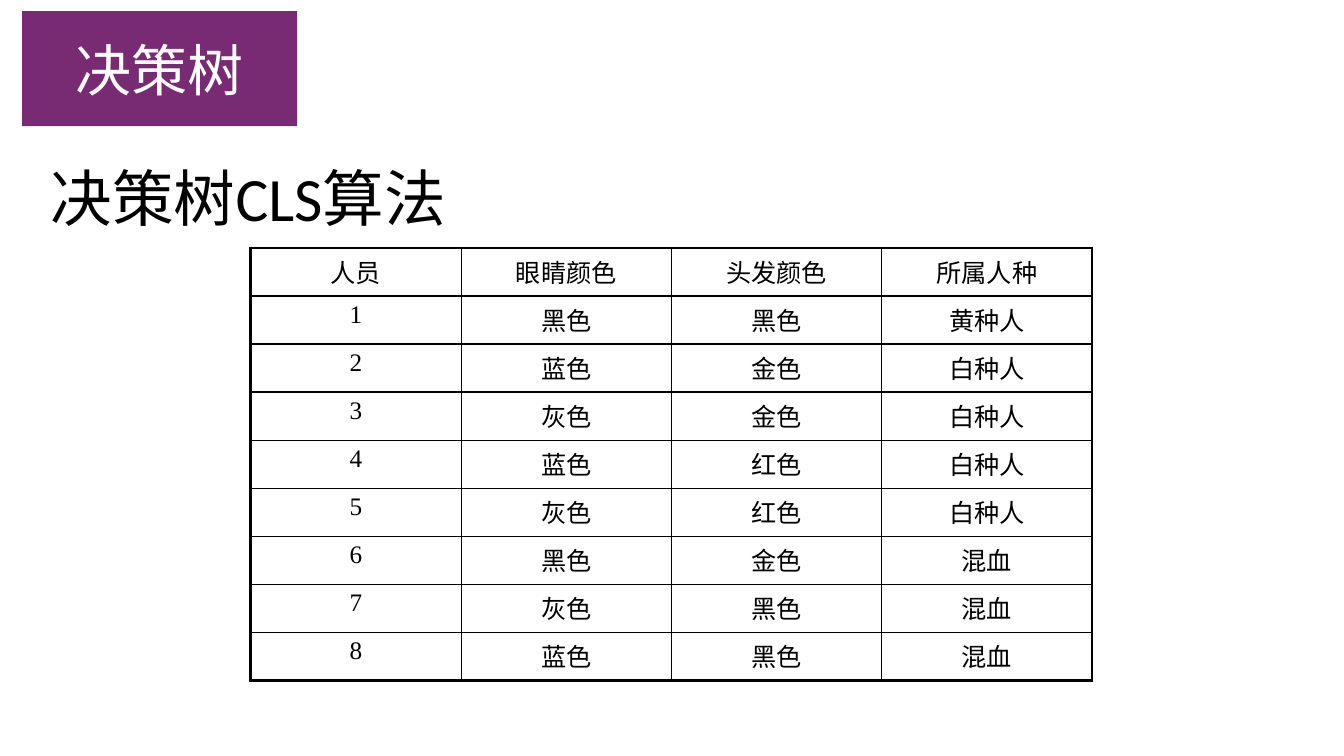
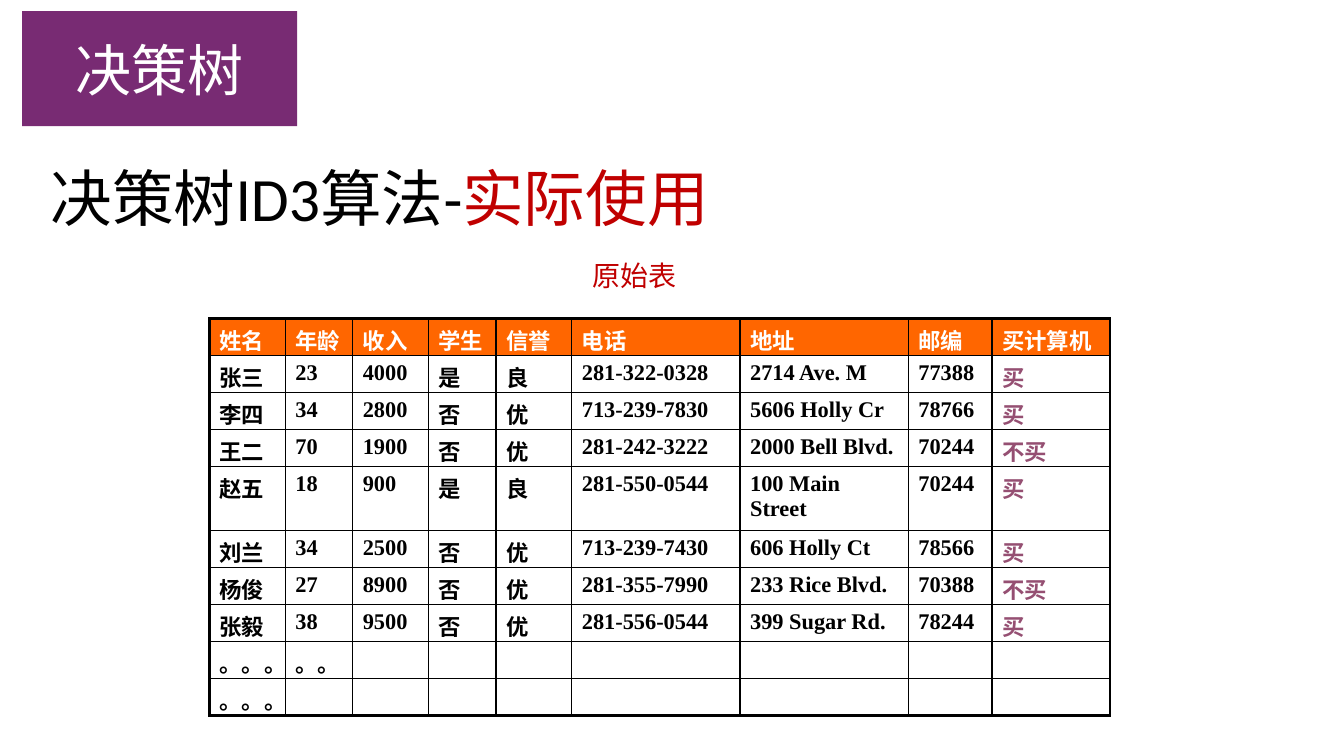
"""Build two decision-tree slides, each with a data table."""
from dataclasses import dataclass

from lxml.etree import SubElement
from pptx import Presentation
from pptx.dml.color import RGBColor
from pptx.enum.shapes import MSO_SHAPE
from pptx.enum.text import MSO_ANCHOR, MSO_AUTO_SIZE, PP_ALIGN
from pptx.oxml.ns import qn
from pptx.util import Cm, Pt


@dataclass(frozen=True)
class Theme:
    purple: str = "782B73"
    orange: str = "FF6600"
    plum: str = "954F72"
    red: str = "C00000"
    black: str = "000000"
    white: str = "FFFFFF"
    sans: str = "Calibri"
    serif: str = "Times New Roman"
    title: float = 44
    band: float = 40
    caption: float = 20
    people: float = 18
    buyers: float = 16
    outer: float = 2.25
    inner: float = 1


T = Theme()


def write(tf, text, size, color=T.black, font=T.sans, bold=False, align=PP_ALIGN.LEFT):
    p = tf.paragraphs[0]
    p.alignment = align
    r = p.add_run()
    r.text = text
    r.font.size = Pt(size)
    r.font.name = font
    r.font.bold = bold
    r.font.color.rgb = RGBColor.from_string(color)
    return p


def draw_border(cell, edges):
    tcPr = cell._tc.get_or_add_tcPr()
    for tag, width in edges.items():
        ln = SubElement(tcPr, qn(f"a:{tag}"), w=str(Pt(width)))
        SubElement(SubElement(ln, qn("a:solidFill")), qn("a:srgbClr"), val=T.black)


people = [
    ["人员", "眼睛颜色", "头发颜色", "所属人种"],
    ["1", "黑色", "黑色", "黄种人"],
    ["2", "蓝色", "金色", "白种人"],
    ["3", "灰色", "金色", "白种人"],
    ["4", "蓝色", "红色", "白种人"],
    ["5", "灰色", "红色", "白种人"],
    ["6", "黑色", "金色", "混血"],
    ["7", "灰色", "黑色", "混血"],
    ["8", "蓝色", "黑色", "混血"],
]
buyers = [
    ["姓名", "年龄", "收入", "学生", "信誉", "电话", "地址", "邮编", "买计算机"],
    ["张三", "23", "4000", "是", "良", "281-322-0328", "2714 Ave. M", "77388", "买"],
    ["李四", "34", "2800", "否", "优", "713-239-7830", "5606 Holly Cr", "78766", "买"],
    ["王二", "70", "1900", "否", "优", "281-242-3222", "2000 Bell Blvd.", "70244", "不买"],
    ["赵五", "18", "900", "是", "良", "281-550-0544", "100 Main Street", "70244", "买"],
    ["刘兰", "34", "2500", "否", "优", "713-239-7430", "606 Holly Ct", "78566", "买"],
    ["杨俊", "27", "8900", "否", "优", "281-355-7990", "233 Rice Blvd.", "70388", "不买"],
    ["张毅", "38", "9500", "否", "优", "281-556-0544", "399 Sugar Rd.", "78244", "买"],
    ["。。。", "。。"] + [""] * 7,
    ["。。。"] + [""] * 8,
]
pages = [
    dict(
        title=[("决策树CLS算法", T.black)], caption=None, data=people,
        left=6.32, top=6.25, cols=[5.3] * 4, rows=[1.21] * 9,
        size=T.people, bold=False, align=PP_ALIGN.CENTER,
        head_fill=None, head_color=T.black, last_color=T.black,
    ),
    dict(
        title=[("决策树ID3算法-", T.black), ("实际使用", T.red)], caption="原始表", data=buyers,
        left=5.28, top=8.03, cols=[1.91, 1.7, 1.91, 1.7, 1.91, 4.24, 4.24, 2.11, 2.97],
        rows=[0.93] * 4 + [1.61] + [0.93] * 5,
        size=T.buyers, bold=True, align=PP_ALIGN.LEFT,
        head_fill=T.orange, head_color=T.white, last_color=T.plum,
    ),
]

prs = Presentation()
prs.slide_width, prs.slide_height = Cm(33.87), Cm(19.05)
layout = prs.slide_layouts[5]
slides = [prs.slides.add_slide(layout) for _ in pages]

band = slides[0].shapes.add_shape(MSO_SHAPE.RECTANGLE, Cm(0.56), Cm(0.28), Cm(6.93), Cm(2.9))
band.shadow.inherit = False
band.fill.solid()
band.fill.fore_color.rgb = RGBColor.from_string(T.purple)
band.line.fill.background()
band.text_frame.vertical_anchor = MSO_ANCHOR.MIDDLE
write(band.text_frame, "决策树", T.band, T.white, align=PP_ALIGN.CENTER)
layout.shapes.element.append(band.element)

for s, page in zip(slides, pages):
    title = s.shapes.title
    title.left, title.top, title.width, title.height = Cm(1.02), Cm(3.23), Cm(29.21), Cm(3.68)
    tf = title.text_frame
    tf.auto_size = MSO_AUTO_SIZE.NONE
    tf.vertical_anchor = MSO_ANCHOR.MIDDLE
    for text, color in page["title"]:
        write(tf, text, T.title, color).line_spacing = 0.9

    if page["caption"]:
        tf = s.shapes.add_textbox(Cm(14.68), Cm(6.4), Cm(2.64), Cm(1.12)).text_frame
        tf.word_wrap = False
        tf.auto_size = MSO_AUTO_SIZE.SHAPE_TO_FIT_TEXT
        write(tf, page["caption"], T.caption, T.red)

    cols, rows = page["cols"], page["rows"]
    tbl = s.shapes.add_table(
        len(rows), len(cols), Cm(page["left"]), Cm(page["top"]), Cm(sum(cols)), Cm(sum(rows))
    ).table
    tbl.first_row = tbl.horz_banding = False
    for col, width in zip(tbl.columns, cols):
        col.width = Cm(width)
    for row, height in zip(tbl.rows, rows):
        row.height = Cm(height)

    last_row, last_col = len(rows) - 1, len(cols) - 1
    for i, values in enumerate(page["data"]):
        for j, value in enumerate(values):
            cell = tbl.cell(i, j)
            at_edge = dict(lnL=j == 0, lnR=j == last_col, lnT=i == 0, lnB=i == last_row)
            draw_border(cell, {tag: T.outer if edge else T.inner for tag, edge in at_edge.items()})
            if i == 0 and page["head_fill"]:
                cell.fill.solid()
                cell.fill.fore_color.rgb = RGBColor.from_string(page["head_fill"])
            else:
                cell.fill.background()
            if value:
                color = page["head_color"] if i == 0 else page["last_color"] if j == last_col else T.black
                write(cell.text_frame, value, page["size"], color, T.serif, page["bold"], page["align"])
            else:
                end = cell.text_frame.paragraphs[0]._p.get_or_add_endParaRPr()
                end.set("sz", str(page["size"] * 100))

prs.save("out.pptx")
